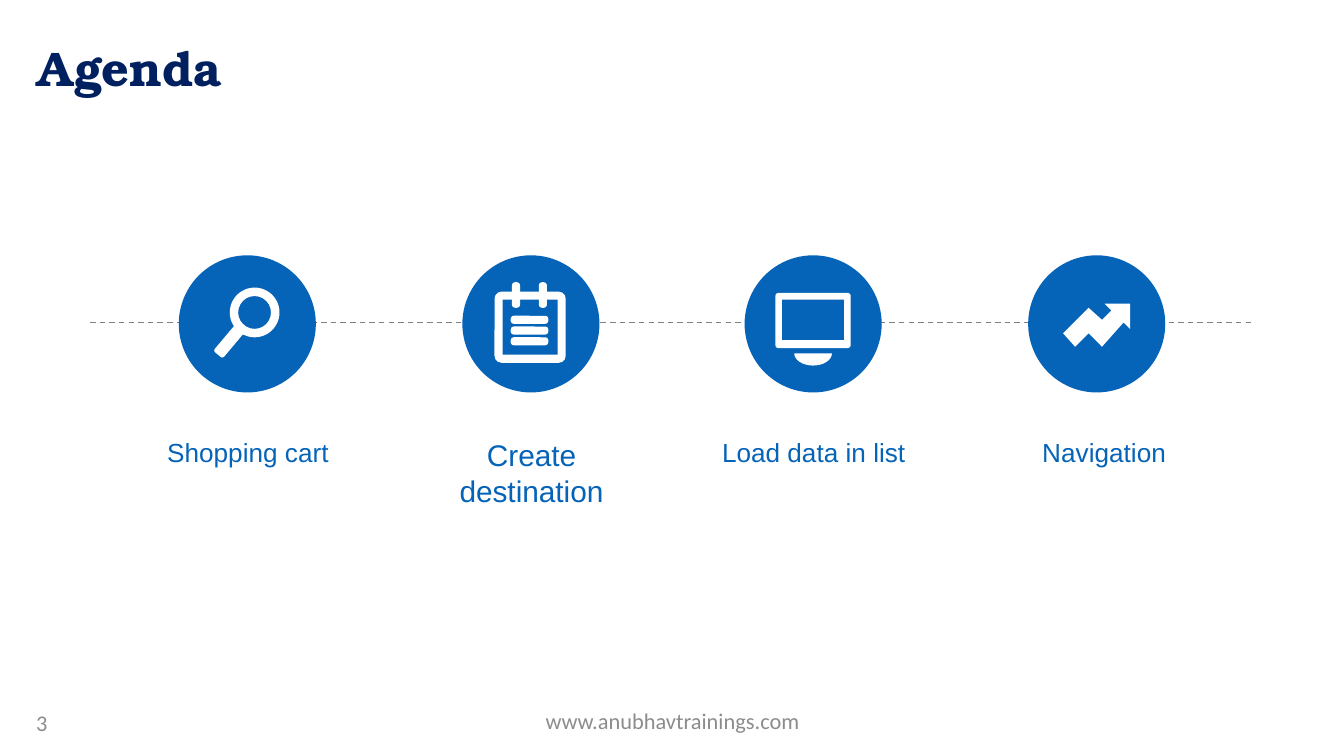
from math import cos, pi, sin

from lxml.etree import SubElement
from pptx import Presentation
from pptx.dml.color import RGBColor
from pptx.enum.dml import MSO_LINE
from pptx.enum.shapes import MSO_CONNECTOR, MSO_SHAPE
from pptx.enum.text import MSO_ANCHOR, PP_ALIGN
from pptx.oxml.ns import qn
from pptx.util import Pt

PX = 9144  # 100 px to the inch
NAVY = RGBColor(0x00, 0x20, 0x60)
SKY = RGBColor(0x00, 0x70, 0xC0)
BLUE = RGBColor(0x05, 0x63, 0xB8)
GREY = RGBColor(0x80, 0x80, 0x80)
FOOTER_GREY = RGBColor(0x8C, 0x8C, 0x8C)
WHITE = RGBColor(0xFF, 0xFF, 0xFF)

CIRCLE = 102
LABEL_WIDTH = 175


def paint(shape, color):
    shape.fill.solid()
    shape.fill.fore_color.rgb = color
    shape.line.fill.background()
    shape.shadow.inherit = False


def add_part(page, kind, box, color=WHITE, adjust=None):
    part = page.shapes.add_shape(kind, *(v * PX for v in box))
    paint(part, color)
    if adjust is not None:
        part.adjustments[0] = adjust
    return part


def add_outline(page, left, top, points):
    corners = [((left + x) * PX, (top + y) * PX) for x, y in points]
    builder = page.shapes.build_freeform(*corners[0], scale=1.0)
    builder.add_line_segments(corners[1:], close=True)
    paint(builder.convert_to_shape(), WHITE)


def write(frame, text, align, anchor, formats):
    frame.word_wrap = True
    frame.vertical_anchor = anchor
    para = frame.paragraphs[0]
    para.alignment = align
    span = para.add_run()
    span.text = text
    for name, value in formats.items():
        setattr(span.font, name, value)
    return span


def add_text(page, box, text, align, anchor, color, formats):
    frame = page.shapes.add_textbox(*(v * PX for v in box)).text_frame
    write(frame, text, align, anchor, formats).font.color.rgb = color


def draw_magnifier(page, left, top):
    add_part(page, MSO_SHAPE.DONUT, (left + 38, top + 24, 37, 37), adjust=0.17)
    handle = add_part(page, MSO_SHAPE.ROUNDED_RECTANGLE,
                      (left + 33, top + 51, 9, 26), adjust=0.2)
    handle.rotation = 40


def draw_notepad(page, left, top):
    bar = MSO_SHAPE.ROUNDED_RECTANGLE
    add_part(page, bar, (left + 24, top + 27, 53, 53), adjust=0.1)
    add_part(page, MSO_SHAPE.RECTANGLE, (left + 30, top + 33, 41, 41), BLUE)
    for x in (37, 57):
        add_part(page, bar, (left + x, top + 20, 6, 19), adjust=0.4)
    for row in range(3):
        add_part(page, bar, (left + 36, top + 45 + 8 * row, 28, 6), adjust=0.4)


def draw_monitor(page, left, top):
    add_part(page, MSO_SHAPE.ROUNDED_RECTANGLE,
             (left + 23, top + 28, 56, 41), adjust=0.05)
    add_part(page, MSO_SHAPE.RECTANGLE, (left + 28, top + 33, 46, 30), BLUE)
    steps = 16
    stand = [(51 + 14 * cos(pi * i / steps), 73 + 9 * sin(pi * i / steps))
             for i in range(steps + 1)]
    add_outline(page, left, top, stand)


def draw_trend(page, left, top):
    add_outline(page, left, top, [
        (57, 36), (76, 36), (76, 55), (71, 50), (55, 68), (45, 58),
        (35, 68), (26, 58), (45, 39), (55, 48), (62, 41)])


def add_title(page, box, text):
    title = page.shapes.title
    for name, value in zip(("left", "top", "width", "height"), box):
        setattr(title, name, value * PX)
    span = write(title.text_frame, text, PP_ALIGN.LEFT, MSO_ANCHOR.TOP,
                 {"name": "TeX Gyre Bonum", "size": Pt(26), "bold": True})
    fill = span.font.fill
    fill.gradient()
    fill.gradient_angle = 270
    for stop, color in zip(fill.gradient_stops, (NAVY, SKY)):
        stop.color.rgb = color


def add_timeline(page, left, top, width):
    line = page.shapes.add_connector(
        MSO_CONNECTOR.STRAIGHT, left * PX, top * PX, (left + width) * PX, top * PX)
    line.line.color.rgb = GREY
    line.line.width = Pt(0.75)
    line.line.dash_style = MSO_LINE.DASH
    SubElement(line._element.spPr, qn("a:effectLst"))


def add_steps(page, left, top, pitch):
    steps = [
        ("Shopping cart", 14, 34, 0, draw_magnifier),
        ("Create destination", 16, 64, 0, draw_notepad),
        ("Load data in list", 14, 34, 0, draw_monitor),
        ("Navigation", 14, 34, 5, draw_trend),
    ]
    for index, (label, size, height, shift, draw_icon) in enumerate(steps):
        x = left + round(index * pitch)
        add_part(page, MSO_SHAPE.OVAL, (x, top, CIRCLE, CIRCLE), BLUE)
        draw_icon(page, x, top)
        label_left = x + (CIRCLE - LABEL_WIDTH + 1) // 2 + shift
        add_text(page, (label_left, top + 130, LABEL_WIDTH, height), label,
                 PP_ALIGN.CENTER, MSO_ANCHOR.TOP, BLUE,
                 {"name": "Arial", "size": Pt(size)})


def add_footer(page, top):
    formats = {"name": "Calibri", "size": Pt(12)}
    add_text(page, (342, top, 317, 30), "www.anubhavtrainings.com",
             PP_ALIGN.CENTER, MSO_ANCHOR.MIDDLE, FOOTER_GREY, formats)
    add_text(page, (17, top + 2, 233, 30), "3",
             PP_ALIGN.LEFT, MSO_ANCHOR.MIDDLE, FOOTER_GREY, formats)


def main():
    deck = Presentation()
    deck.slide_width = 1000 * PX
    deck.slide_height = deck.slide_width * 9 // 16
    page = deck.slides.add_slide(deck.slide_layouts[5])
    add_title(page, (18, 23, 900, 58), "Agenda")
    add_timeline(page, 67, 240, 866)
    add_steps(page, 133, 190, 210.67)
    add_footer(page, 521)
    deck.save("out.pptx")


if __name__ == "__main__":
    main()
